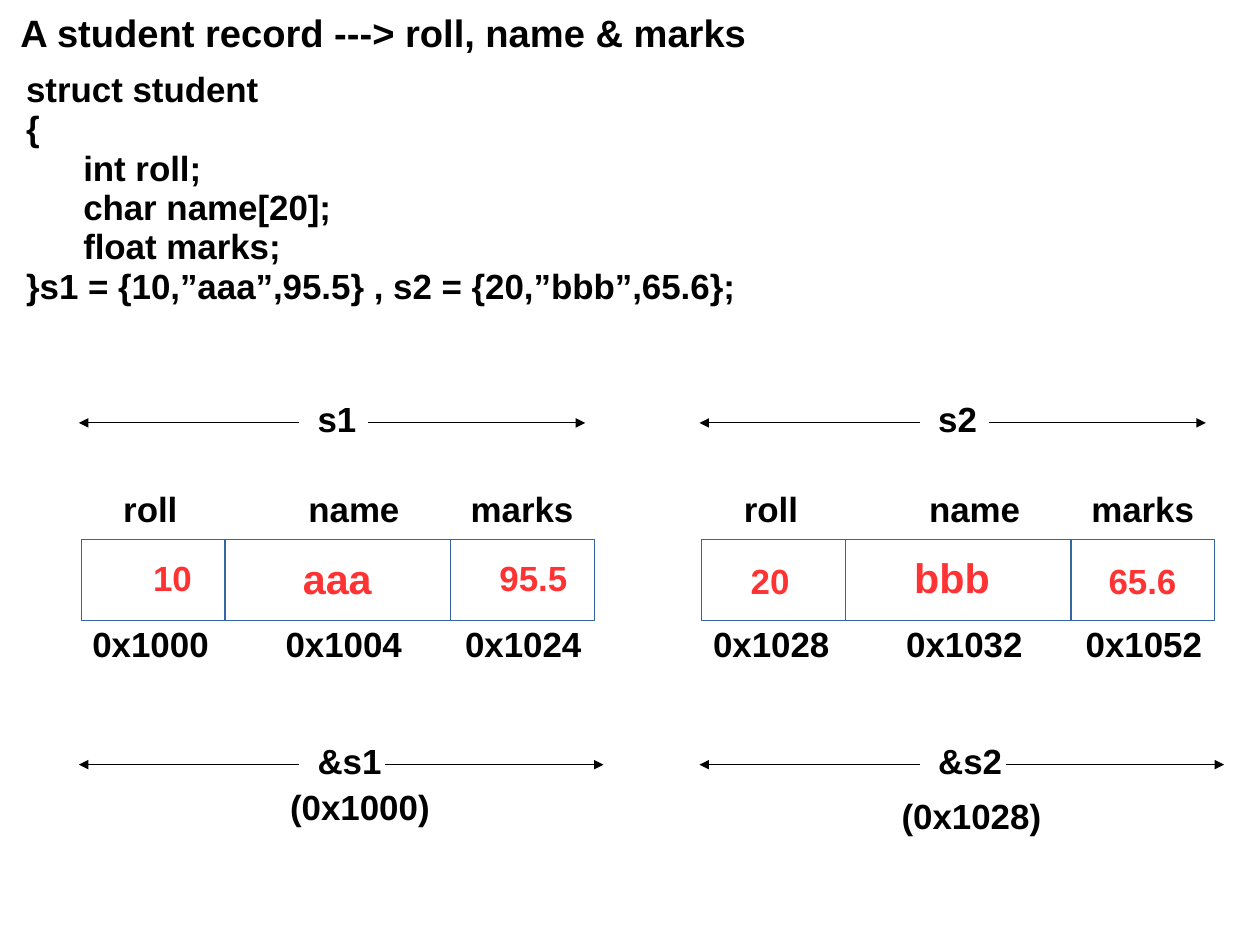
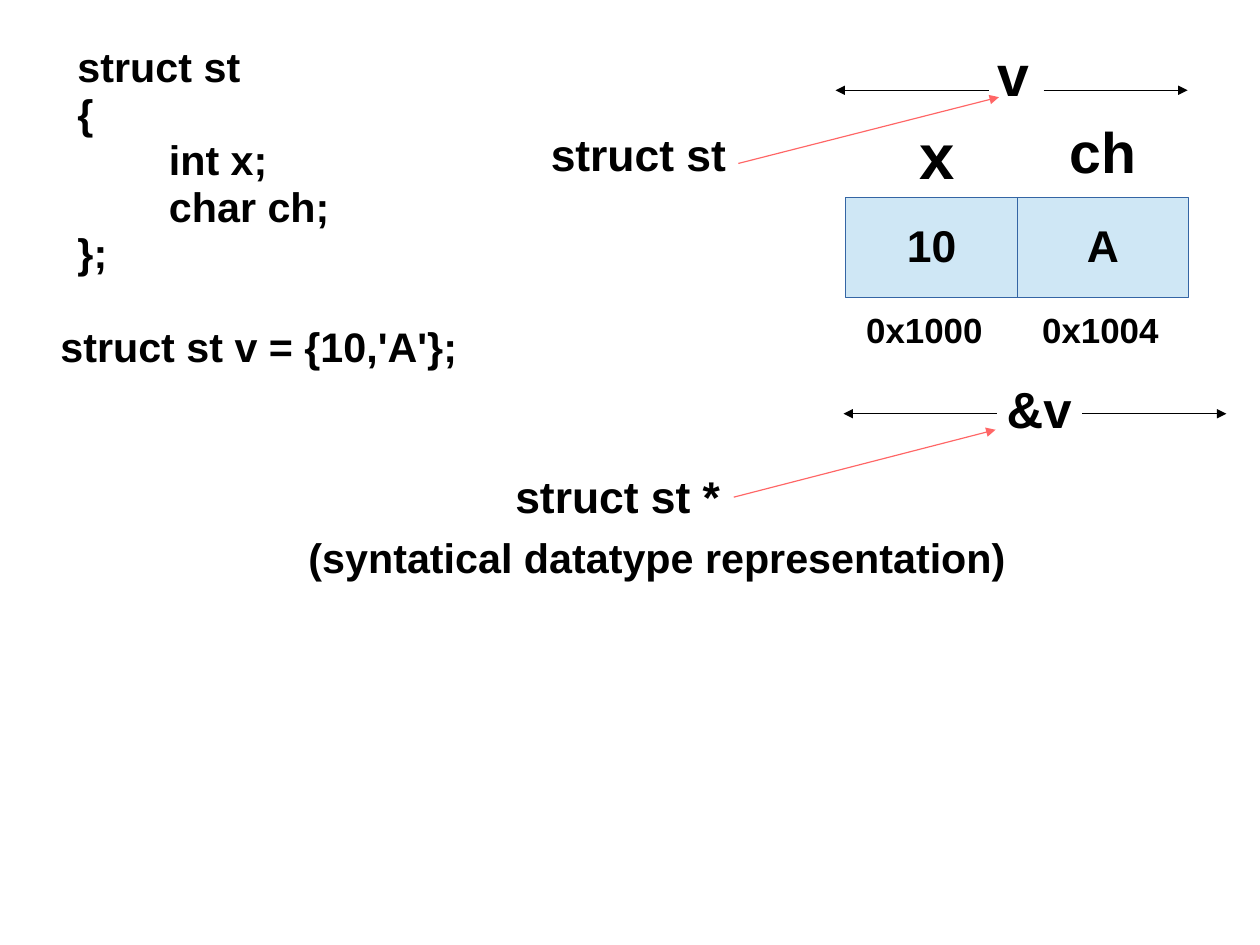
from dataclasses import dataclass

from lxml import etree
from pptx import Presentation
from pptx.dml.color import RGBColor
from pptx.enum import shapes, text
from pptx.oxml import ns
from pptx.slide import Slide
from pptx.text.text import TextFrame
from pptx.util import Inches, Pt

COLORS = {
    "text": "000000",
    "value": "FF3333",
    "pointer": "FF6666",
    "cell_line": "3465A4",
    "plain_cell": "FFFFFF",
    "blue_cell": "CFE7F5",
}
FONT = "Arial"
LINE_SPACING = 0.94
LINE_WIDTH = Pt(0.75)
CM_PER_INCH = 2.54
RECORD_TOP, RECORD_HEIGHT = 4.72, 0.71


@dataclass(frozen=True)
class Box:
    left: float
    top: float
    width: float
    height: float


@dataclass(frozen=True)
class Span:
    """A label with an arrow pointing outwards on each side."""
    label: str
    box: Box
    size: int
    y: float
    left_arrow: tuple[float, float]
    right_arrow: tuple[float, float]


@dataclass(frozen=True)
class Field:
    """One struct member, placed relative to the left edge of its record."""
    name: str
    left: float
    width: float
    name_box: Box
    address_left: float
    value_size: int


@dataclass(frozen=True)
class Record:
    """A value is placed by an inset in its cell, or in a text box of its own."""
    name: str
    left: float
    values: tuple[str, ...]
    value_places: tuple[float | Box, ...]
    addresses: tuple[str, ...]
    start_box: Box


FIELDS = (
    Field("roll", 0, 1.26, Box(0.27, 4.25, 0.7, 0.47), 0, 22),
    Field("name", 1.26, 1.97, Box(1.89, 4.25, 1, 0.47), 1.69, 26),
    Field("marks", 3.23, 1.26, Box(3.31, 4.25, 1.1, 0.47), 3.26, 22),
)
RECORDS = (
    Record("s1", 0.71, ("10", "aaa", "95.5"), (0.63, 0.68, 0.43),
           ("0x1000", "0x1004", "0x1024"), Box(2.44, 6.85, 1.42, 0.47)),
    Record("s2", 6.14, ("20", "bbb", "65.6"),
           (Box(6.47, 4.88, 0.6, 0.47), Box(7.9, 4.82, 0.92, 0.53),
            Box(9.6, 4.88, 0.82, 0.47)),
           ("0x1028", "0x1032", "0x1052"), Box(7.79, 6.93, 1.42, 0.47)),
)


def color(name: str) -> RGBColor:
    return RGBColor.from_string(COLORS[name])


def place(box: Box) -> tuple[int, int, int, int]:
    return Inches(box.left), Inches(box.top), Inches(box.width), Inches(box.height)


def write(frame: TextFrame, content: str, *, size: int = 22, ink: str = "text",
          align: text.PP_ALIGN = text.PP_ALIGN.LEFT, inset: float = 0.1,
          indent: float = 0.5) -> None:
    """Fill a frame line by line; a leading tab marks an indented line."""
    frame.word_wrap = False
    frame.margin_left, frame.margin_right = Inches(inset), Inches(0.1)
    frame.margin_top = frame.margin_bottom = Inches(0.05)
    for index, line in enumerate(content.split("\n")):
        paragraph = frame.add_paragraph() if index else frame.paragraphs[0]
        paragraph.alignment = align
        paragraph.line_spacing = LINE_SPACING
        if line.startswith("\t"):
            paragraph._p.get_or_add_pPr().set("marL", str(Inches(indent)))
        run = paragraph.add_run()
        run.text = line.lstrip("\t")
        run.font.name, run.font.size, run.font.bold = FONT, Pt(size), True
        run.font.color.rgb = color(ink)


def add_text(slide: Slide, content: str, box: Box, *, size: int = 22,
             ink: str = "text", indent: float = 0.5) -> None:
    frame = slide.shapes.add_textbox(*place(box)).text_frame
    write(frame, content, size=size, ink=ink, indent=indent)


def add_cell(slide: Slide, box: Box, fill: str) -> TextFrame:
    shape = slide.shapes.add_shape(shapes.MSO_SHAPE.RECTANGLE, *place(box))
    shape.shadow.inherit = False
    shape.fill.solid()
    shape.fill.fore_color.rgb = color(fill)
    shape.line.color.rgb = color("cell_line")
    shape.line.width = LINE_WIDTH
    shape.text_frame.vertical_anchor = text.MSO_ANCHOR.MIDDLE
    return shape.text_frame


def add_arrow(slide: Slide, start: tuple[float, float], end: tuple[float, float],
              ink: str = "text") -> None:
    connector = slide.shapes.add_connector(
        shapes.MSO_CONNECTOR.STRAIGHT, *(Inches(value) for value in start + end))
    connector.line.color.rgb = color(ink)
    connector.line.width = LINE_WIDTH
    outline = connector.line._get_or_add_ln()
    etree.SubElement(outline, ns.qn("a:tailEnd"), type="triangle")
    etree.SubElement(connector._element.spPr, ns.qn("a:effectLst"))


def add_span(slide: Slide, span: Span) -> None:
    add_text(slide, span.label, span.box, size=span.size)
    for start, end in (span.left_arrow, span.right_arrow):
        add_arrow(slide, (start, span.y), (end, span.y))


def add_record(slide: Slide, record: Record) -> None:
    left = record.left
    for field, value, spot, address in zip(
            FIELDS, record.values, record.value_places, record.addresses):
        cell = add_cell(slide, Box(left + field.left, RECORD_TOP, field.width,
                                   RECORD_HEIGHT), "plain_cell")
        if isinstance(spot, Box):
            add_text(slide, value, spot, size=field.value_size, ink="value")
        else:
            write(cell, value, size=field.value_size, ink="value", inset=spot)
        name = field.name_box
        add_text(slide, field.name,
                 Box(left + name.left, name.top, name.width, name.height))
        add_text(slide, address, Box(left + field.address_left, 5.43, 1.22, 0.46))
    left_arrow = (left + 1.91, left - 0.02)
    add_span(slide, Span(record.name, Box(left + 1.97, 3.46, 0.54, 0.47), 22, 3.7,
                         left_arrow, (left + 2.51, left + 4.41)))
    add_span(slide, Span(f"&{record.name}", Box(left + 1.97, 6.45, 0.76, 0.47), 22,
                         6.69, left_arrow, (left + 2.66, left + 4.57)))
    add_text(slide, f"({record.addresses[0]})", record.start_box)


def build_student_slide(slide: Slide) -> None:
    add_text(slide, "A student record ---> roll, name & marks",
             Box(0.08, 0.07, 6.55, 0.5), size=24)
    add_text(slide, "struct student\n{\n\tint roll;\n\tchar name[20];\n"
             "\tfloat marks;\n}s1 = {10,”aaa”,95.5} , s2 = {20,”bbb”,65.6};",
             Box(0.13, 0.57, 6.42, 2.19))
    for record in RECORDS:
        add_record(slide, record)


def build_datatype_slide(slide: Slide) -> None:
    for index, value in enumerate(("10", "A")):
        cell = add_cell(slide, Box(7.4 + 1.5 * index, 1.73, 1.5, 0.87), "blue_cell")
        write(cell, value, size=28, align=text.PP_ALIGN.CENTER)
    for content, box, size in (
        ("x", Box(7.95, 1.02, 0.53, 0.77), 40),
        ("ch", Box(9.26, 1.02, 0.84, 0.7), 36),
        ("0x1000", Box(7.48, 2.68, 1.22, 0.47), 22),
        ("0x1004", Box(9.02, 2.68, 1.22, 0.47), 22),
        ("struct st", Box(4.72, 1.1, 1.75, 0.57), 28),
        ("struct st *", Box(4.41, 4.09, 1.99, 0.57), 28),
        ("struct st v = {10,'A'};", Box(0.43, 2.8, 3.7, 0.53), 26),
        ("(syntatical datatype representation)", Box(2.6, 4.64, 6.31, 0.53), 26),
    ):
        add_text(slide, content, box, size=size)
    add_text(slide, "struct st\n{\n\tint x;\n\tchar ch;\n};",
             Box(0.58, 0.35, 2.73, 2.16), size=26, indent=0.8)
    add_span(slide, Span("v", Box(8.63, 0.34, 0.48, 0.7), 36, 0.79,
                         (8.65, 7.31), (9.13, 10.39)))
    add_span(slide, Span("&v", Box(8.71, 3.3, 0.77, 0.63), 32, 3.62,
                         (8.72, 7.38), (9.47, 10.73)))
    add_arrow(slide, (6.46, 1.43), (8.74, 0.85), "pointer")
    add_arrow(slide, (6.42, 4.35), (8.71, 3.76), "pointer")


def main() -> None:
    presentation = Presentation()
    presentation.slide_width = Inches(28 / CM_PER_INCH)
    presentation.slide_height = Inches(21 / CM_PER_INCH)
    blank = presentation.slide_layouts[6]
    for build in (build_student_slide, build_datatype_slide):
        build(presentation.slides.add_slide(blank))
    presentation.save("out.pptx")


if __name__ == "__main__":
    main()
